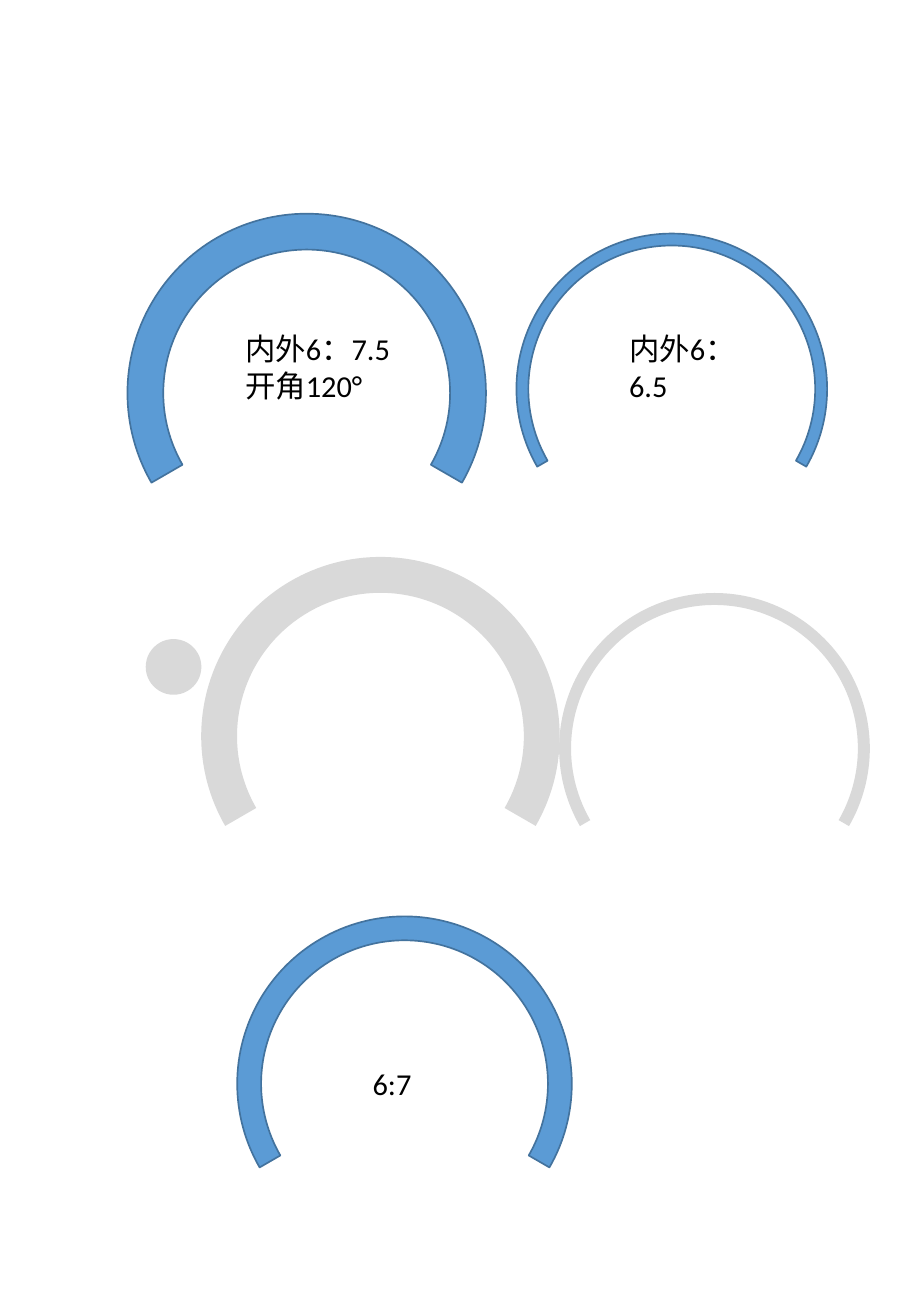
from dataclasses import dataclass

from pptx import Presentation
from pptx.dml.color import RGBColor
from pptx.enum.shapes import MSO_SHAPE
from pptx.enum.text import MSO_AUTO_SIZE
from pptx.util import Pt

OVAL = MSO_SHAPE.OVAL
ARC = MSO_SHAPE.BLOCK_ARC
GROW = MSO_AUTO_SIZE.SHAPE_TO_FIT_TEXT
COLORS = {"blue": "5B9BD5", "edge": "43739E", "gray": "D9D9D9", "text": "000000"}
FONT = "Calibri"
BLANK = 6
INNER = 85  # inner radius, stands for 6 in every ratio
START, END = 150, 30  # degrees, clockwise, leaving a 120 degree opening
DEGREE = 0.6  # one degree in adjustment units


@dataclass
class Ring:
    x: float  # centre
    y: float
    ratio: float  # outer size against an inner size of 6
    fill: str
    edge: str = ""


@dataclass
class Label:
    x: float
    y: float
    width: float
    height: float
    lines: tuple[str, ...]


RINGS = [
    Ring(239.8, 642.2, 7, "blue", "edge"),
    Ring(398.2, 230.5, 6.5, "blue", "edge"),
    Ring(423.5, 443.5, 6.5, "gray"),
    Ring(181.8, 232.9, 7.5, "blue", "edge"),
    Ring(225.5, 436.3, 7.5, "gray"),
]
LABELS = [
    Label(138.2, 192.2, 101.5, 51, ("内外6：7.5", "开角120°")),
    Label(365.8, 192.2, 95, 51, ("内外6：6.5",)),
    Label(213.8, 627.8, 40, 29, ("6:7",)),
]


def color(name: str) -> RGBColor:
    return RGBColor.from_string(COLORS[name])


def paint(shape, fill: str, edge: str = "") -> None:
    shape.shadow.inherit = False
    shape.fill.solid()
    shape.fill.fore_color.rgb = color(fill)
    if edge:
        shape.line.color.rgb = color(edge)
        shape.line.width = Pt(1)
    else:
        shape.line.fill.background()


def draw_ring(slide, ring: Ring) -> None:
    outer = INNER * ring.ratio / 6
    size = Pt(2 * outer)
    arc = slide.shapes.add_shape(
        ARC, Pt(ring.x - outer), Pt(ring.y - outer), size, size)
    arc.adjustments[0] = START * DEGREE
    arc.adjustments[1] = END * DEGREE
    arc.adjustments[2] = (outer - INNER) / (2 * outer)
    paint(arc, ring.fill, ring.edge)


def draw_label(slide, label: Label) -> None:
    box = slide.shapes.add_textbox(
        Pt(label.x), Pt(label.y), Pt(label.width), Pt(label.height))
    frame = box.text_frame
    frame.word_wrap = True
    frame.auto_size = GROW
    for i, line in enumerate(label.lines):
        para = frame.add_paragraph() if i else frame.paragraphs[0]
        run = para.add_run()
        run.text = line
        run.font.name = FONT
        run.font.size = Pt(18)
        run.font.color.rgb = color("text")


deck = Presentation()
deck.slide_width, deck.slide_height = Pt(540), Pt(779.8)
slide = deck.slides.add_slide(deck.slide_layouts[BLANK])

# Dot
dot = slide.shapes.add_shape(OVAL, Pt(86.4), Pt(378.7), Pt(33), Pt(33))
paint(dot, "gray")

# Open rings
for ring in RINGS:
    draw_ring(slide, ring)

# Ratio labels
for label in LABELS:
    draw_label(slide, label)

deck.save("out.pptx")
